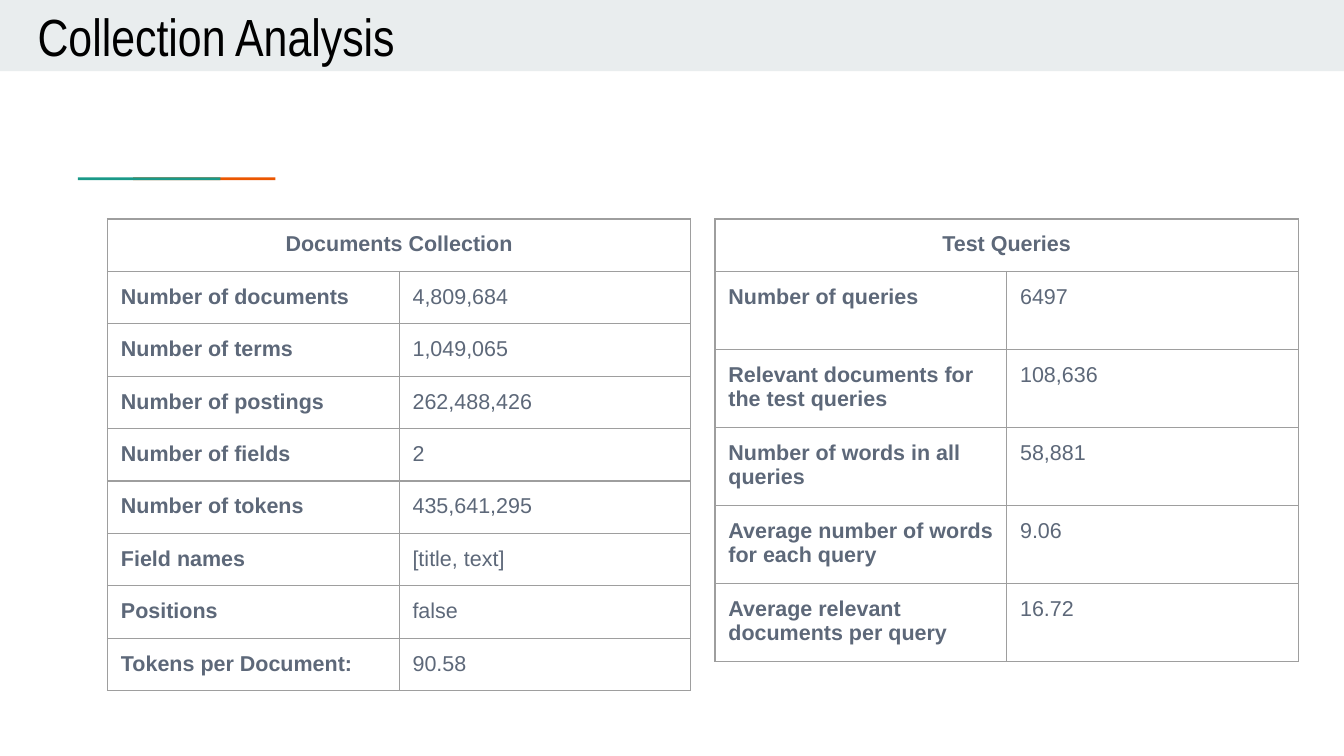
from lxml.etree import SubElement
from pptx import Presentation
from pptx.dml.color import RGBColor
from pptx.enum.shapes import MSO_SHAPE
from pptx.enum.text import MSO_ANCHOR, MSO_AUTO_SIZE, PP_ALIGN
from pptx.oxml.ns import qn
from pptx.util import Inches, Pt

COLORS = {
    "band": "E9EDEE",
    "teal": "1A9988",
    "orange": "EB5600",
    "title": "000000",
    "text": "5D6879",
    "highlight": "FFFFFF",
    "border": "9E9E9E",
}
PAGE_WIDTH = 10
INSET = Inches(0.1)
HEADER_HEIGHT = 0.39
COLUMN_WIDTH = 2.17

COLLECTION_ROWS = [
    ("Number of documents", "4,809,684"),
    ("Number of terms", "1,049,065"),
    ("Number of postings", "262,488,426"),
    ("Number of fields", "2"),
    ("Number of tokens", "435,641,295"),
    ("Field names", "[title, text]"),
    ("Positions", "false"),
    ("Tokens per Document:", "90.58"),
]
QUERY_ROWS = [
    ("Number of queries", "6497"),
    ("Relevant documents for the test queries", "108,636"),
    ("Number of words in all queries", "58,881"),
    ("Average number of words for each query", "9.06"),
    ("Average relevant documents per query", "16.72"),
]


def color(name):
    return RGBColor.from_string(COLORS[name])


def set_insets(target):
    target.margin_left = target.margin_right = INSET
    target.margin_top = target.margin_bottom = INSET


def format_text(para, font_name, size, color_name, bold=False):
    for span in para.runs:
        span.font.name = font_name
        span.font.size = Pt(size)
        span.font.bold = bold
        span.font.color.rgb = color(color_name)


def highlight_text(para):
    for span in para.runs:
        properties = span._r.get_or_add_rPr()
        highlight = SubElement(properties, qn("a:highlight"))
        SubElement(highlight, qn("a:srgbClr"), val=COLORS["highlight"])
        # The schema wants the highlight right after the text fill
        properties.find(qn("a:solidFill")).addnext(highlight)


def add_bar(page, left, top, width, height, color_name):
    bar = page.shapes.add_shape(
        MSO_SHAPE.RECTANGLE,
        Inches(left), Inches(top), Inches(width), Inches(height))
    bar.shadow.inherit = False
    bar.fill.solid()
    bar.fill.fore_color.rgb = color(color_name)
    bar.line.fill.background()
    return bar


def add_title(page, text):
    title = page.shapes.title
    title.left, title.top = Inches(0.18), Inches(0)
    title.width, title.height = Inches(8.65), Inches(0.53)
    frame = title.text_frame
    frame.text = text
    frame.word_wrap = True
    frame.auto_size = MSO_AUTO_SIZE.NONE
    frame.vertical_anchor = MSO_ANCHOR.MIDDLE
    set_insets(frame)
    para = frame.paragraphs[0]
    para.alignment = PP_ALIGN.LEFT
    format_text(para, "Arial Narrow", 28, "title")


def set_borders(cell):
    properties = cell._tc.get_or_add_tcPr()
    for side in ("a:lnL", "a:lnR", "a:lnT", "a:lnB"):
        line = SubElement(properties, qn(side), w=str(Pt(0.75)))
        fill = SubElement(line, qn("a:solidFill"))
        SubElement(fill, qn("a:srgbClr"), val=COLORS["border"])


def fill_cell(cell, text, bold, alignment=PP_ALIGN.LEFT):
    cell.text_frame.text = text
    set_insets(cell)
    set_borders(cell)
    cell.fill.background()
    para = cell.text_frame.paragraphs[0]
    para.alignment = alignment
    format_text(para, "Arial", 11.5, "text", bold)
    highlight_text(para)


def add_fact_table(page, left, heading, facts, row_height):
    height = HEADER_HEIGHT + row_height * len(facts)
    table = page.shapes.add_table(
        len(facts) + 1, 2, Inches(left), Inches(1.63),
        Inches(2 * COLUMN_WIDTH), Inches(height)).table
    table.first_row = table.horz_banding = False
    for column in table.columns:
        column.width = Inches(COLUMN_WIDTH)
    for row in table.rows:
        row.height = Inches(row_height)
    table.rows[0].height = Inches(HEADER_HEIGHT)

    # Heading across both columns
    table.cell(0, 0).merge(table.cell(0, 1))
    fill_cell(table.cell(0, 0), heading, True, PP_ALIGN.CENTER)
    set_borders(table.cell(0, 1))

    # Bold label and plain value
    for index, (label, value) in enumerate(facts, start=1):
        fill_cell(table.cell(index, 0), label, True)
        fill_cell(table.cell(index, 1), value, False)


def main():
    # Widescreen page, 16 to 9
    deck = Presentation()
    deck.slide_width = Inches(PAGE_WIDTH)
    deck.slide_height = Inches(PAGE_WIDTH * 9 / 16)
    page = deck.slides.add_slide(deck.slide_layouts[5])

    # Title on its band, which goes to the back
    band = add_bar(page, 0, 0, PAGE_WIDTH, 0.53, "band")
    page.shapes.title._element.addprevious(band._element)
    add_title(page, "Collection Analysis")

    # Two-colour accent line
    add_bar(page, 0.99, 1.32, 1.06, 0.02, "orange")
    add_bar(page, 0.58, 1.32, 1.06, 0.02, "teal")

    # Tables
    add_fact_table(page, 0.8, "Documents Collection", COLLECTION_ROWS, 0.39)
    add_fact_table(page, 5.32, "Test Queries", QUERY_ROWS, 0.58)

    deck.save("out.pptx")


if __name__ == "__main__":
    main()
